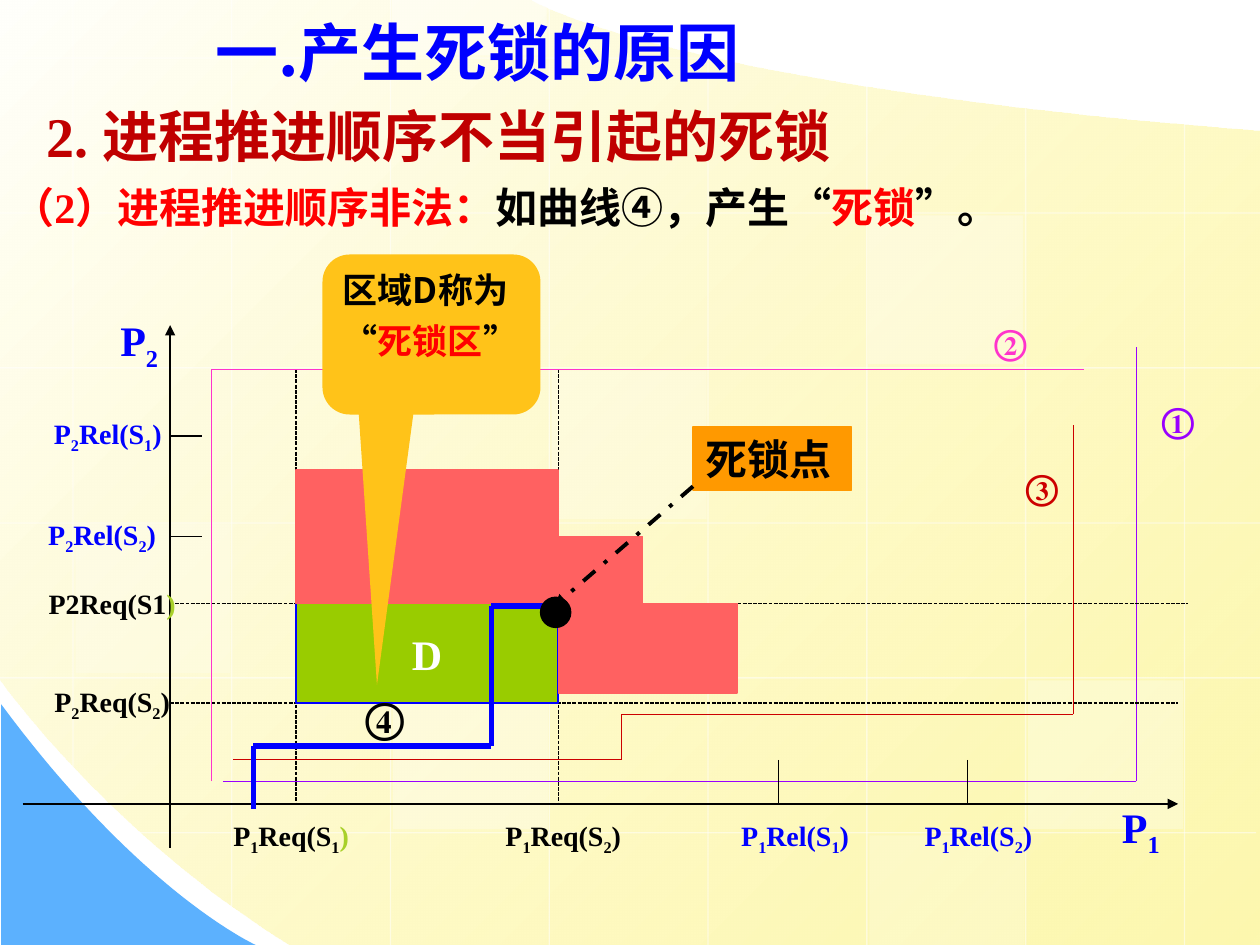
from lxml.etree import SubElement
from pptx import Presentation
from pptx.dml.color import RGBColor
from pptx.enum.dml import MSO_LINE as DASH
from pptx.enum.shapes import MSO_CONNECTOR as CONN, MSO_SHAPE as SHAPE
from pptx.enum.text import MSO_ANCHOR as ANCHOR, PP_ALIGN as ALIGN
from pptx.oxml.ns import qn
from pptx.util import Cm, Pt

WHITE = RGBColor(0xFF, 0xFF, 0xFF)
BLACK = RGBColor(0, 0, 0)
BLUE = RGBColor(0, 0, 0xFF)
RED = RGBColor(0xFF, 0, 0)
DARK_RED = RGBColor(0xC0, 0, 0)
CRIMSON = RGBColor(0xCC, 0, 0)
CORAL = RGBColor(0xFF, 0x61, 0x61)
PURPLE = RGBColor(0x99, 0, 0xFF)
PINK = RGBColor(0xFF, 0x33, 0xCC)
GREEN = RGBColor(0x99, 0xCC, 0)
LIME = RGBColor(0xA8, 0xD0, 0x2A)
ORANGE = RGBColor(0xFF, 0x99, 0)
GOLD = RGBColor(0xFF, 0xC3, 0x19)
SKY = RGBColor(0x5C, 0xB1, 0xFE)
IVORY = RGBColor(0xFF, 0xFF, 0xFB)
CREAM = RGBColor(0xFD, 0xF5, 0x8D)
SERIF, SANS, CJK = "Times New Roman", "Arial", "Noto Sans CJK SC"

# Positions of the resource requests on the two axes, in inches
AXIS_X, AXIS_Y = 1.35, 6.38
REQ_X1, REQ_X2 = 2.35, 4.43
REQ_Y1, REQ_Y2 = 4.79, 5.58


def units(*inches):
    return [Cm(2.54 * v) for v in inches]


def set_alpha(fill_owner, percent):
    color = list(fill_owner.iter(qn("a:srgbClr")))[-1]
    SubElement(color, qn("a:alpha"), val=str(percent * 1000))


def add_runs(p, text, size, color, font, east_asian):
    """Add runs; the character after each underscore is a subscript."""
    first, *rest = text.split("_")
    parts = [(first, False)]
    for part in rest:
        parts += [(part[0], True), (part[1:], False)]
    for piece, subscript in parts:
        if not piece:
            continue
        r = p.add_run()
        r.text = piece
        r.font.size, r.font.bold, r.font.name = Pt(size), True, font
        r.font.color.rgb = color
        rpr = r.font._element
        rpr.set("lang", "zh-CN")
        SubElement(rpr, qn("a:ea"), typeface=east_asian)
        if subscript:
            rpr.set("baseline", "-25000")


def write(sp, paragraphs, size=16, color=BLACK, font=SERIF, east_asian=CJK,
          align=ALIGN.LEFT, anchor=ANCHOR.TOP, wrap=True, hanging=0, before=0):
    """Fill a shape; a paragraph is a string or a list of (text, format) runs."""
    tf = sp.text_frame
    tf.word_wrap, tf.vertical_anchor = wrap, anchor
    base = {"size": size, "color": color, "font": font, "east_asian": east_asian}
    for i, runs in enumerate(paragraphs):
        p = tf.add_paragraph() if i else tf.paragraphs[0]
        p.alignment = align
        if i:
            p.space_before = Pt(before)
        if hanging:
            ppr = p._p.get_or_add_pPr()
            ppr.set("marL", str(Cm(hanging)))
            ppr.set("indent", str(-Cm(hanging)))
        for text, style in ([(runs, {})] if isinstance(runs, str) else runs):
            add_runs(p, text, **{**base, **style})


def text_box(s, box, paragraphs, **style):
    sp = s.shapes.add_textbox(*units(*box))
    write(sp, paragraphs, **style)
    return sp


def label(s, box, text, **style):
    """Centred one-line text that may use the full width of its box."""
    sp = text_box(s, box, [text], align=ALIGN.CENTER, anchor=ANCHOR.MIDDLE,
                  wrap=False, **style)
    sp.text_frame.margin_left = sp.text_frame.margin_right = 0


def block(s, box, fill, line=None, kind=SHAPE.RECTANGLE):
    sp = s.shapes.add_shape(kind, *units(*box))
    sp.shadow.inherit = False
    sp.fill.solid()
    sp.fill.fore_color.rgb = fill
    if line is None:
        sp.line.fill.background()
    else:
        sp.line.color.rgb, sp.line.width = line, Pt(0.75)
    return sp


def line(s, start, end, color=BLACK, width=0.75, dash=None, arrow=False, alpha=None):
    c = s.shapes.add_connector(CONN.STRAIGHT, *units(*start, *end))
    c.line.color.rgb, c.line.width = color, Pt(width)
    if dash is not None:
        c.line.dash_style = dash
    if alpha:
        set_alpha(c.line._ln, alpha)
    if arrow:
        SubElement(c.line._ln, qn("a:tailEnd"), type="triangle")
    SubElement(c._element.spPr, qn("a:effectLst"))
    c._element.remove(c._element.find(qn("p:style")))


def route(s, points, **style):
    for start, end in zip(points, points[1:]):
        line(s, start, end, **style)


def curve(p0, p1, p2, p3, steps=40):
    """Points along a cubic Bezier curve, without its start."""
    for i in range(1, steps + 1):
        t = i / steps
        u = 1 - t
        yield tuple(u**3 * a + 3 * u * u * t * b + 3 * u * t * t * c + t**3 * d
                    for a, b, c, d in zip(p0, p1, p2, p3))


def outline(s, points):
    pts = [units(*pt) for pt in points]
    builder = s.shapes.build_freeform(*pts[0])
    builder.add_line_segments(pts[1:], close=True)
    sp = builder.convert_to_shape()
    sp.shadow.inherit = False
    sp.line.fill.background()
    return sp


def background(s):
    page = outline(s, [(10, 1.04), (10, 7.5), (2.3, 7.5),
                       *curve((2.3, 7.5), (0.86, 6.61), (0, 5.39), (0, 5.39)),
                       (0, 0), (4.21, 0),
                       *curve((4.21, 0), (4.21, 0.01), (5.37, 0.69), (10, 1.04))])
    page.fill.gradient()
    page.fill.gradient_angle = 315
    for stop, color, pos in zip(page.fill.gradient_stops, (IVORY, CREAM), (0, 1)):
        stop.color.rgb, stop.position = color, pos
    set_alpha(page._element.spPr, 70)
    corner = outline(s, [(0.01, 5.59), (0.01, 7.5), (2.03, 7.5),
                         *curve((2.03, 7.5), (2.03, 7.5), (1.12, 7.09), (0.01, 5.59))])
    corner.fill.solid()
    corner.fill.fore_color.rgb = SKY

    spans = [(0, 6.09), (0, 7.19), (0, 7.5), (0, 7.5),
             (0.43, 7.5), (0.68, 7.5), (0.85, 7.5), (0.98, 7.5)]
    for i, (top, bottom) in enumerate(spans):
        x = 0.58 + 1.26 * i
        line(s, (x, top), (x, bottom), WHITE, alpha=50)
    for i, (left, right) in enumerate([(0, 5.68)] + [(0, 10)] * 4 + [(1.11, 9.97)]):
        y = 0.46 + 1.23 * i
        line(s, (right, y), (left, y), WHITE, alpha=50)
    for x, y, height, alpha in [(4.38, 2.94, 1.18, 25), (8.16, 5.4, 1.18, 30),
                                (0.6, 4.16, 1.18, 20), (6.9, 6.63, 0.87, 20),
                                (3.11, 0, 0.44, 40), (3.12, 5.4, 1.18, 30),
                                (6.89, 1.71, 1.18, 30)]:
        set_alpha(block(s, (x, y, 1.23, height), WHITE)._element.spPr, alpha)


def axes_and_curves(s):
    line(s, (AXIS_X, 6.73), (AXIS_X, 2.58), arrow=True)
    line(s, (0.18, AXIS_Y), (9.35, AXIS_Y), arrow=True)
    route(s, [(1.77, 6.2), (9.02, 6.2), (9.02, 2.75)], color=PURPLE)
    for x in (REQ_X1, REQ_X2):
        line(s, (x, 2.93), (x, AXIS_Y), dash=DASH.SQUARE_DOT)
    for y, right in ((REQ_Y2, 9.35), (REQ_Y1, 9.43)):
        line(s, (AXIS_X, y), (right, y), dash=DASH.SQUARE_DOT)
    route(s, [(1.85, 6.03), (4.93, 6.03), (4.93, 5.67), (8.52, 5.67), (8.52, 3.37)],
          color=CRIMSON)
    route(s, [(1.68, 6.2), (1.68, 2.93), (8.6, 2.93)], color=PINK)
    for x, y, text, color in [(9.1, 3.11, "①", PURPLE), (8.02, 3.64, "③", CRIMSON),
                              (7.77, 2.49, "②", PINK)]:
        label(s, (x, y, 0.5, 0.44), text, size=20, color=color, east_asian=SERIF)
    for x in (6.18, 7.68):
        line(s, (x, 6.03), (x, AXIS_Y))
    for y in (4.26, 3.46):
        line(s, (AXIS_X, y), (1.6, y))


def axis_labels(s):
    lime_end = (")", {"color": LIME})
    for x, y, width, text, color in [
            (0.35, 4.61, 1.08, [("P2Req(S1", {}), lime_end], BLACK),
            (0.35, 5.41, 1.08, "P_2Req(S_2)", BLACK),
            (3.93, 6.47, 1.08, "P_1Req(S_2)", BLACK),
            (1.77, 6.47, 1.08, [("P_1Req(S_1", {}), lime_end], BLACK),
            (7.18, 6.47, 1.17, "P_1Rel(S_2)", BLUE),
            (5.77, 6.47, 1.08, "P_1Rel(S_1)", BLUE),
            (0.27, 4.08, 1.08, "P_2Rel(S_2)", BLUE),
            (0.27, 3.28, 1.17, "P_2Rel(S_1)", BLUE)]:
        label(s, (x, y, width, 0.35), text, color=color)
    for x, y, text in [(0.75, 2.49, "P_2"), (8.7, 6.35, "P_1")]:
        label(s, (x, y, 0.71, 0.47), text, size=24, color=BLUE)


def deadlock_region(s):
    width = REQ_X2 - REQ_X1
    region = block(s, (REQ_X1, REQ_Y1, width, REQ_Y2 - REQ_Y1), GREEN, BLUE)
    write(region, ["D"], size=24, color=WHITE, align=ALIGN.CENTER,
          anchor=ANCHOR.MIDDLE, wrap=False)
    for box in [(REQ_X1, 3.73, width, 1.06), (REQ_X2, REQ_Y1, 1.42, 0.71),
                (REQ_X2, 4.26, 0.67, 0.53)]:
        block(s, box, CORAL, CORAL)
    route(s, [(2.01, 6.42), (2.01, 5.92), (3.9, 5.92), (3.9, 4.81), (4.45, 4.81)],
          color=BLUE, width=3)
    text_box(s, (2.8, 5.44, 0.53, 0.5), ["④"], size=24, wrap=False, east_asian=SERIF)
    point = block(s, (5.5, 3.39, 1.26, 0.5), ORANGE, ORANGE)
    write(point, ["死锁点"], size=24, font=SANS)
    line(s, (5.5, 3.86), (4.4, 4.81), width=2.25, dash=DASH.DASH_DOT, arrow=True)
    block(s, (4.29, 4.74, 0.24, 0.24), BLACK, BLACK, SHAPE.OVAL)
    callout = block(s, (2.56, 2.02, 1.73, 1.27), GOLD,
                    kind=SHAPE.ROUNDED_RECTANGULAR_CALLOUT)
    for i, value in enumerate((-0.25, 2.19, 0.17)):
        callout.adjustments[i] = value
    write(callout, ["区域D称为", [("“", {}), ("死锁区", {"color": RED}), ("”", {})]],
          size=20, font=CJK, hanging=0.95, before=5)


def headings(s):
    text_box(s, (0, 1.39, 8.24, 0.9), [[
        ("（2）进程推进顺序非法：", {"color": RED}), ("如", {}),
        ("曲线④，产生“", {"font": CJK}), ("死锁", {"font": CJK, "color": RED}),
        ("”。", {"font": CJK})]], size=24)
    text_box(s, (0.27, 0.76, 7.02, 0.64), ["2. 进程推进顺序不当引起的死锁"],
             size=32, color=DARK_RED)
    text_box(s, (1.61, 0.05, 6.22, 0.71), ["一.产生死锁的原因"], size=36,
             color=BLUE, font=CJK, anchor=ANCHOR.MIDDLE)


def main():
    prs = Presentation()
    prs.slide_width, prs.slide_height = Cm(25.4), Cm(19.05)
    s = prs.slides.add_slide(prs.slide_layouts[6])
    for draw in (background, axes_and_curves, axis_labels, deadlock_region, headings):
        draw(s)
    prs.save("out.pptx")


if __name__ == "__main__":
    main()
